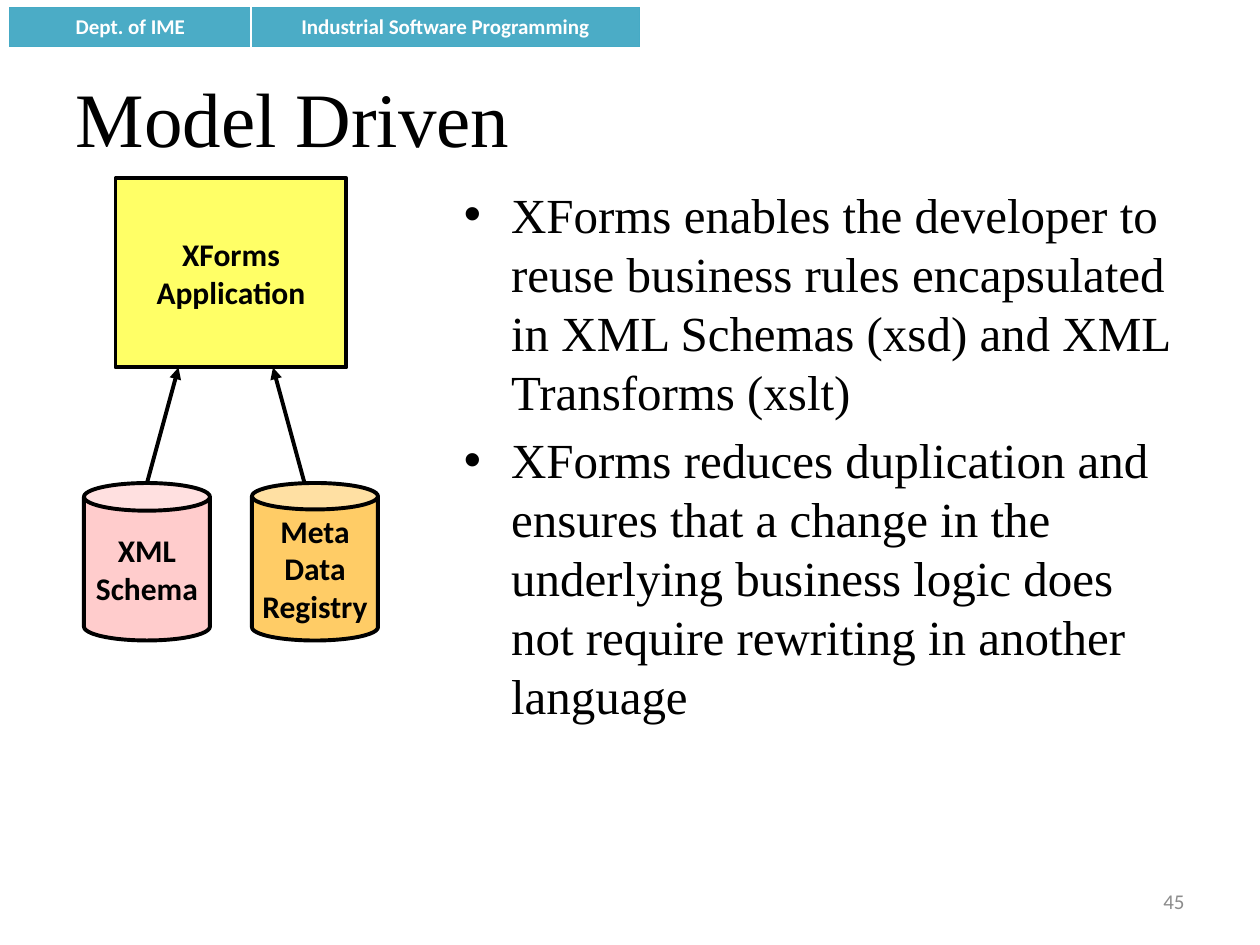
from typing import NamedTuple

from lxml.etree import SubElement
from pptx import Presentation
from pptx.dml.color import RGBColor
from pptx.enum.shapes import MSO_CONNECTOR, MSO_SHAPE
from pptx.enum.text import MSO_ANCHOR as Anchor, MSO_AUTO_SIZE, PP_ALIGN as Align
from pptx.oxml.ns import qn
from pptx.util import Pt

BLACK = RGBColor(0x00, 0x00, 0x00)
WHITE = RGBColor(0xFF, 0xFF, 0xFF)
GRAY = RGBColor(0x8C, 0x8C, 0x8C)
TEAL = RGBColor(0x4B, 0xAC, 0xC6)
TEAL_EDGE = RGBColor(0x46, 0xAA, 0xC5)
YELLOW = RGBColor(0xFF, 0xFF, 0x66)
PINK = RGBColor(0xFF, 0xCC, 0xCC)
ORANGE = RGBColor(0xFF, 0xCC, 0x66)
SANS = "Calibri"
SERIF = "Times New Roman"
STROKE = Pt(2.25)


class Component(NamedTuple):
    lines: list[str]
    kind: MSO_SHAPE
    left: float
    top: float
    width: float
    height: float
    color: RGBColor
    rim: float | None = None


class Arrow(NamedTuple):
    start: tuple[float, float]
    end: tuple[float, float]


HEADINGS = [("Dept. of IME", 138), ("Industrial Software Programming", 222)]
POINTS = [
    "XForms enables the developer to reuse business rules encapsulated "
    "in XML Schemas (xsd) and XML Transforms (xslt)",
    "XForms reduces duplication and ensures that a change in the underlying "
    "business logic does not require rewriting in another language",
]
COMPONENTS = [
    Component(["XML", "Schema"], MSO_SHAPE.CAN, 48, 276, 72, 90, PINK, 0.22),
    Component(["Meta\vData", "Registry"], MSO_SHAPE.CAN, 144, 276, 72, 90, ORANGE, 0.21),
    Component(["XForms", "Application"], MSO_SHAPE.RECTANGLE, 66, 102, 132, 108, YELLOW),
]
ARROWS = [Arrow((84, 276), (102, 210)), Arrow((174, 276), (156, 210))]


def write(frame, lines: list[str], *, size: float, font: str = SANS,
          color: RGBColor = BLACK, bold: bool = False, align: Align = Align.LEFT,
          anchor: Anchor = Anchor.MIDDLE, wrap: bool = True,
          bullet_indent: float = 0, gap: float = 0) -> None:
    frame.word_wrap = wrap
    frame.vertical_anchor = anchor
    for index, line in enumerate(lines):
        paragraph = frame.add_paragraph() if index else frame.paragraphs[0]
        paragraph.text = line
        paragraph.alignment = align
        paragraph.space_before = Pt(gap if index else 0)
        if bullet_indent:
            properties = paragraph._p.get_or_add_pPr()
            properties.set("marL", str(Pt(bullet_indent)))
            properties.set("indent", str(-Pt(bullet_indent)))
            SubElement(properties, qn("a:buFont"), typeface="Arial")
            SubElement(properties, qn("a:buChar"), char="•")
        for run in paragraph.runs:
            run.font.size = Pt(size)
            run.font.name = font
            run.font.bold = bold
            run.font.color.rgb = color


def add_border(cell, sides: str) -> None:
    properties = cell._tc.get_or_add_tcPr()
    for side in sides:
        edge = SubElement(properties, qn(f"a:ln{side}"), w=str(Pt(0.75)))
        fill = SubElement(edge, qn("a:solidFill"))
        SubElement(fill, qn("a:srgbClr"), val=str(TEAL_EDGE))


def add_header(slide) -> None:
    width = sum(column_width for _, column_width in HEADINGS)
    header = slide.shapes.add_table(
        1, len(HEADINGS), Pt(5.5), Pt(4.5), Pt(width), Pt(21.5)).table
    header.first_row = header.horz_banding = False
    for column, ((heading, column_width), sides) in enumerate(zip(HEADINGS, ("LTB", "RTB"))):
        header.columns[column].width = Pt(column_width)
        cell = header.cell(0, column)
        add_border(cell, sides)
        cell.fill.solid()
        cell.fill.fore_color.rgb = TEAL
        write(cell.text_frame, [heading], size=12, color=WHITE, bold=True,
              align=Align.CENTER, anchor=Anchor.TOP)


def add_component(slide, component: Component) -> None:
    shape = slide.shapes.add_shape(
        component.kind, Pt(component.left), Pt(component.top),
        Pt(component.width), Pt(component.height))
    shape.shadow.inherit = False
    if component.rim is not None:
        shape.adjustments[0] = component.rim
    shape.fill.solid()
    shape.fill.fore_color.rgb = component.color
    shape.line.color.rgb = BLACK
    shape.line.width = STROKE
    write(shape.text_frame, component.lines, size=18, bold=True,
          align=Align.CENTER, wrap=False)


def add_arrow(slide, arrow: Arrow) -> None:
    connector = slide.shapes.add_connector(
        MSO_CONNECTOR.STRAIGHT, *map(Pt, arrow.start), *map(Pt, arrow.end))
    connector.line.color.rgb = BLACK
    connector.line.width = STROKE
    SubElement(connector.line._get_or_add_ln(), qn("a:tailEnd"), type="triangle")
    SubElement(connector._element.spPr, qn("a:effectLst"))


def main() -> None:
    presentation = Presentation()
    presentation.slide_width, presentation.slide_height = Pt(720), Pt(540)
    slide = presentation.slides.add_slide(presentation.slide_layouts[5])

    add_header(slide)

    page_number = slide.shapes.add_textbox(Pt(516), Pt(500.5), Pt(168), Pt(28.75))
    write(page_number.text_frame, ["45"], size=12, color=GRAY, align=Align.RIGHT)

    title = slide.shapes.title
    title.left, title.top, title.width, title.height = map(Pt, (36, 21.6, 648, 90))
    title.text_frame.auto_size = MSO_AUTO_SIZE.NONE
    write(title.text_frame, ["Model Driven"], size=44, font=SERIF)

    benefits = slide.shapes.add_textbox(Pt(258), Pt(102), Pt(426), Pt(380))
    write(benefits.text_frame, POINTS, size=28, font=SERIF, anchor=Anchor.TOP,
          bullet_indent=27, gap=5.6)

    for component in COMPONENTS:
        add_component(slide, component)
    for arrow in ARROWS:
        add_arrow(slide, arrow)

    presentation.save("out.pptx")


if __name__ == "__main__":
    main()
